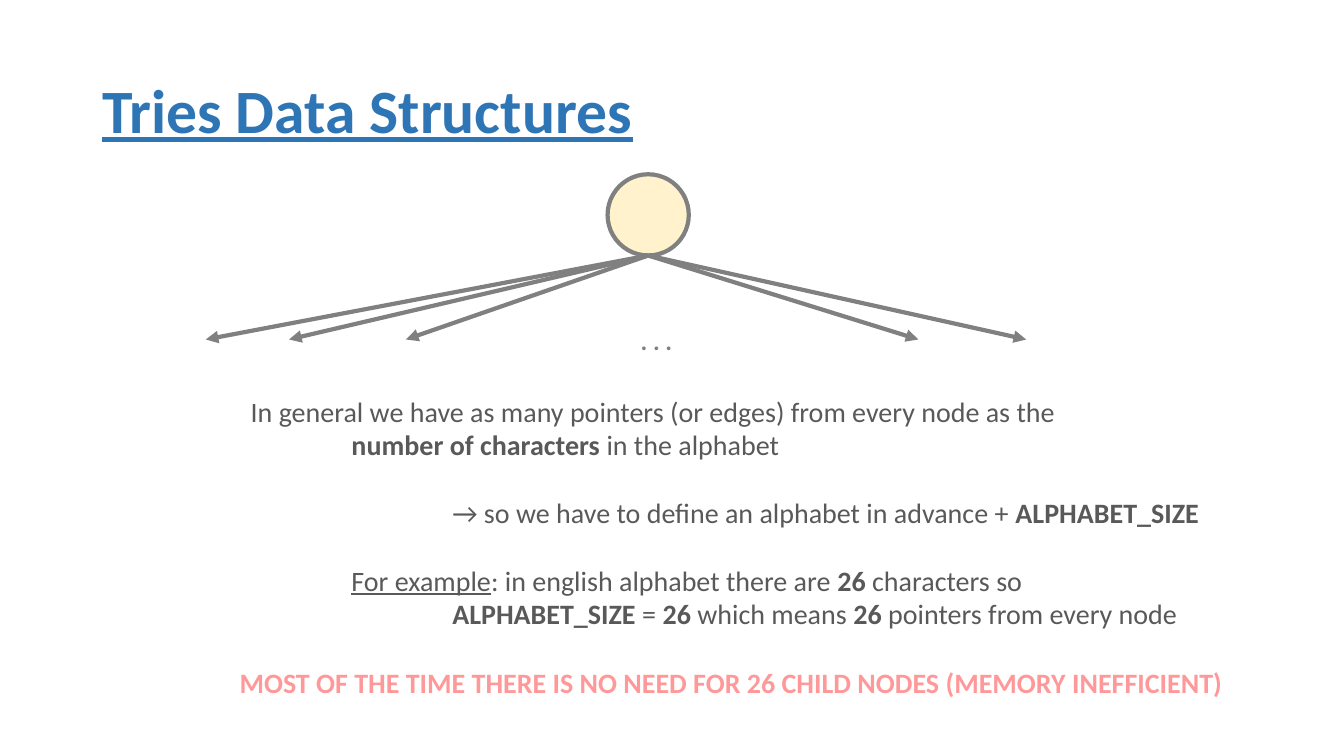
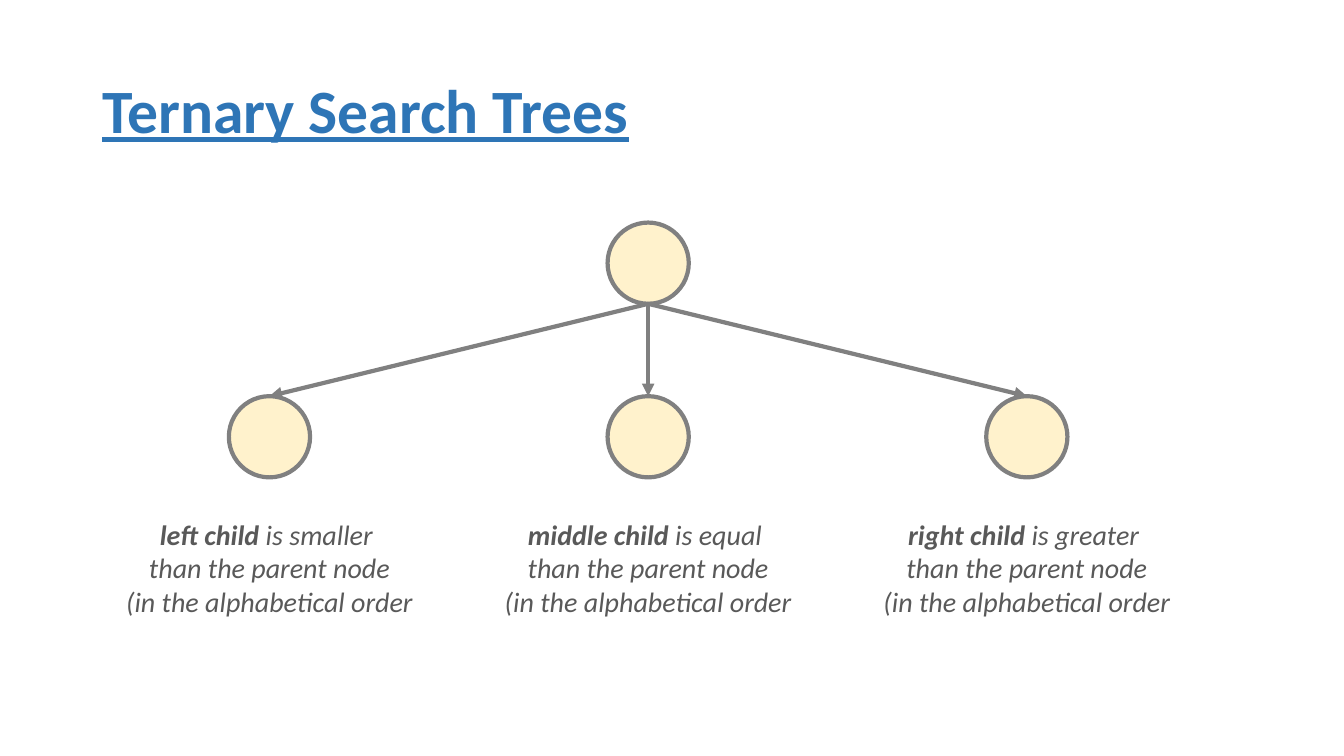
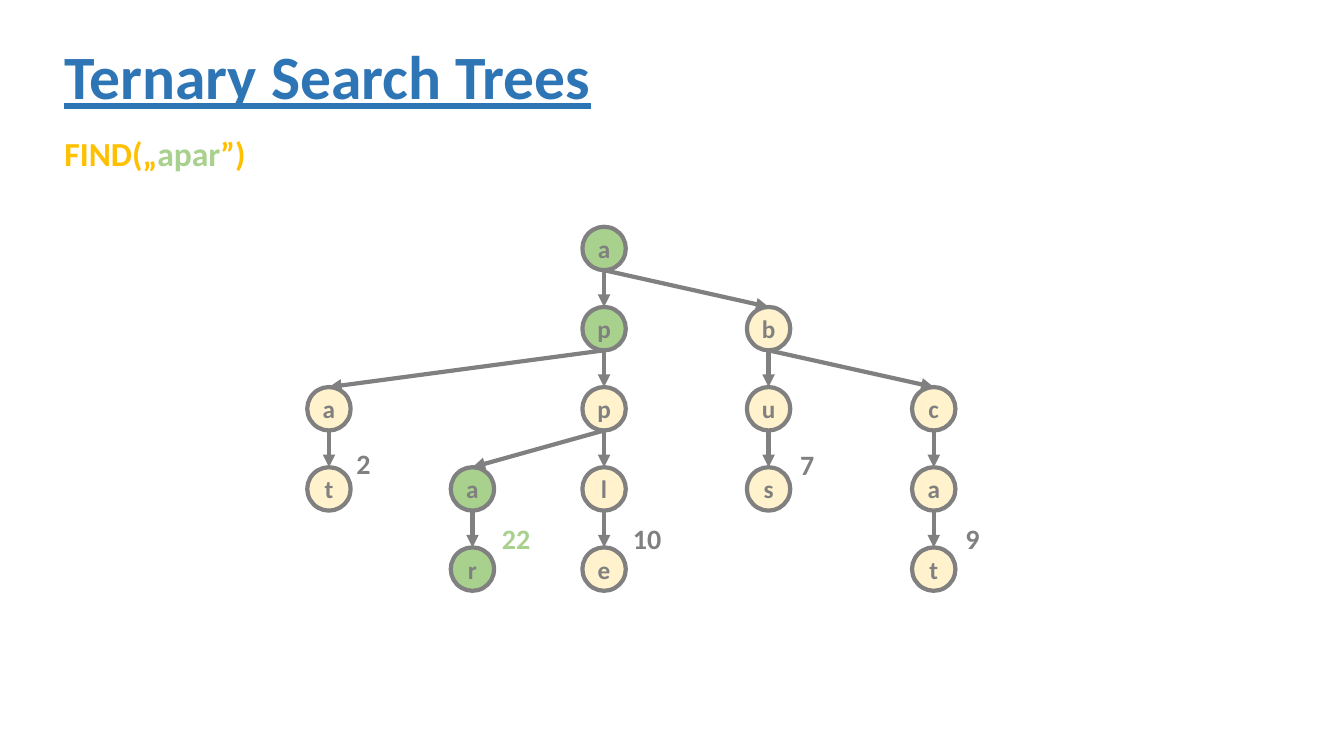
from lxml import etree
from pptx import Presentation
from pptx.dml.color import RGBColor
from pptx.enum import shapes, text
from pptx.oxml.ns import qn
from pptx.util import Pt

FONT = "Calibri"
BLUE, GRAY, DARK = "2E75B6", "808080", "595959"
CREAM, GREEN, PINK, GOLD = "FFF2CC", "A9D18E", "FF9999", "FFC000"
TITLE = dict(size=44, color=BLUE, bold=True, underline=True, middle=True, spacing=0.9)
BOLD = dict(bold=True)
CIRCLE = 58
ROOT_X = 463


def write(page, left, top, width, height, *paras, fill=None, size=20, color=DARK,
          bold=False, italic=False, underline=False, centred=False, middle=False, spacing=None):
    """Add a text box, or a circle if fill is given; a paragraph is a string or a list
    of strings and (string, format) pairs."""
    place = Pt(left), Pt(top), Pt(width), Pt(height)
    if fill:
        box = page.shapes.add_shape(shapes.MSO_SHAPE.OVAL, *place)
        box.shadow.inherit = False
        box.fill.solid()
        box.fill.fore_color.rgb = RGBColor.from_string(fill)
        box.line.color.rgb = RGBColor.from_string(GRAY)
        box.line.width = Pt(3)
    else:
        box = page.shapes.add_textbox(*place)
    frame = box.text_frame
    frame.word_wrap = True
    if fill:
        frame.margin_left = frame.margin_right = frame.margin_top = frame.margin_bottom = 0
    frame.vertical_anchor = text.MSO_ANCHOR.MIDDLE if middle else text.MSO_ANCHOR.TOP
    for number, spans in enumerate(paras):
        para = frame.add_paragraph() if number else frame.paragraphs[0]
        para.alignment = text.PP_ALIGN.CENTER if centred else text.PP_ALIGN.LEFT
        para.line_spacing = spacing
        for item in [spans] if isinstance(spans, str) else spans:
            words, change = (item, {}) if isinstance(item, str) else item
            span = para.add_run()
            span.text = words
            span.font.name = FONT
            span.font.size = Pt(size)
            span.font.bold = change.get("bold", bold)
            span.font.italic = italic
            span.font.underline = change.get("underline", underline)
            span.font.color.rgb = RGBColor.from_string(change.get("color", color))
    return box


def arrow(page, x1, y1, x2, y2):
    line = page.shapes.add_connector(
        shapes.MSO_CONNECTOR.STRAIGHT, Pt(x1), Pt(y1), Pt(x2), Pt(y2))
    line.line.color.rgb = RGBColor.from_string(GRAY)
    line.line.width = Pt(3)
    properties = line.element.spPr
    etree.SubElement(properties.find(qn("a:ln")), qn("a:tailEnd"), type="triangle")
    etree.SubElement(properties, qn("a:effectLst"))


deck = Presentation()
deck.slide_width, deck.slide_height = Pt(960), Pt(540)
blank = deck.slide_layouts[6]

# Slide 1: a trie node with many pointers
page = deck.slides.add_slide(blank)
write(page, 66, 29, 828, 104, "Tries Data Structures", **TITLE)
write(page, ROOT_X - CIRCLE / 2, 124.5, CIRCLE, CIRCLE, fill=CREAM)
for tip_x in (147, 206.5, 290, 656, 733):
    arrow(page, ROOT_X, 182.5, tip_x, 242.5)
write(page, 450.5, 228.5, 60, 29, ". . .", size=18, color=GRAY, bold=True)

body = [  # indent, space before, spans
    (0, 0, "In general we have as many pointers (or edges) from every node as the"),
    (72, 0, [("number of characters ", BOLD), "in the alphabet"]),
    (144, 24.4, ["→ so we have to define an alphabet in advance + ", ("ALPHABET_SIZE", BOLD)]),
    (72, 24.4, [("For example", dict(underline=True)), ": in english alphabet there are ",
                ("26", BOLD), " characters so"]),
    (144, 0, [("ALPHABET_SIZE", BOLD), " = ", ("26 ", BOLD), "which means ",
              ("26", BOLD), " pointers from every node"]),
]
box = write(page, 172, 278, 720, 190, *[spans for indent, before, spans in body])
for para, (indent, before, spans) in zip(box.text_frame.paragraphs, body):
    para.space_before = Pt(before)
    properties = para._p.get_or_add_pPr()
    properties.set("marL", str(Pt(indent)))
    properties.set("indent", "0")
write(page, 164, 471.5, 735, 32,
      "MOST OF THE TIME THERE IS NO NEED FOR 26 CHILD NODES (MEMORY INEFFICIENT)",
      color=PINK, bold=True)

# Slide 2: the three children of a node
page = deck.slides.add_slide(blank)
write(page, 66, 29, 828, 104, "Ternary Search Trees", **TITLE)
write(page, ROOT_X - CIRCLE / 2, 159, CIRCLE, CIRCLE, fill=CREAM)
children = [("left", "smaller"), ("middle", "equal"), ("right", "greater")]
for number, (side, relation) in enumerate(children):
    x = ROOT_X + (number - 1) * 270.5
    arrow(page, ROOT_X, 217, x, 283)
    write(page, x - CIRCLE / 2, 283, CIRCLE, CIRCLE, fill=CREAM)
    write(page, x - 110.5, 366, 221, 80,
          [(f"{side} child", BOLD), f" is {relation} "],
          "than the parent node", "(in the alphabetical order",
          italic=True, centred=True)

# Slide 3: finding a key in the tree
page = deck.slides.add_slide(blank)
write(page, 39, 5, 828, 104, "Ternary Search Trees", **TITLE)
write(page, 39, 91.5, 160, 36, ["FIND(„", ("apar", dict(color=GREEN)), "”)"],
      size=24, color=GOLD, bold=True)

NODE, TOP, ROW_STEP = 31, 162, 57.25
columns = [235, 337.5, 431.5, 549, 667]
chains = [  # column, first row, letters, column of the parent
    (2, 0, "apple", None),
    (3, 1, "bus", 2),
    (4, 2, "cat", 3),
    (0, 2, "at", 2),
    (1, 3, "ar", 2),
]
found = {(2, 0), (2, 1), (1, 3), (1, 4)}
for column, first_row, letters, parent in chains:
    x = columns[column]
    for row, letter in enumerate(letters, first_row):
        y = TOP + row * ROW_STEP
        source = parent if row == first_row else column
        if source is not None:
            arrow(page, columns[source], y - ROW_STEP + NODE, x, y)
        write(page, x - NODE / 2, y, NODE, NODE, letter, size=18, color=GRAY, bold=True,
              fill=GREEN if (column, row) in found else CREAM, centred=True, middle=True)

values = [("2", 247.5, 315.5, GRAY), ("22", 351.5, 369, GREEN), ("10", 445, 369, GRAY),
          ("7", 564.5, 316, GRAY), ("9", 682.5, 369, GRAY)]
for value, left, top, color in values:
    write(page, left, top, 45, 32, value, color=color, bold=True)

deck.save("out.pptx")
